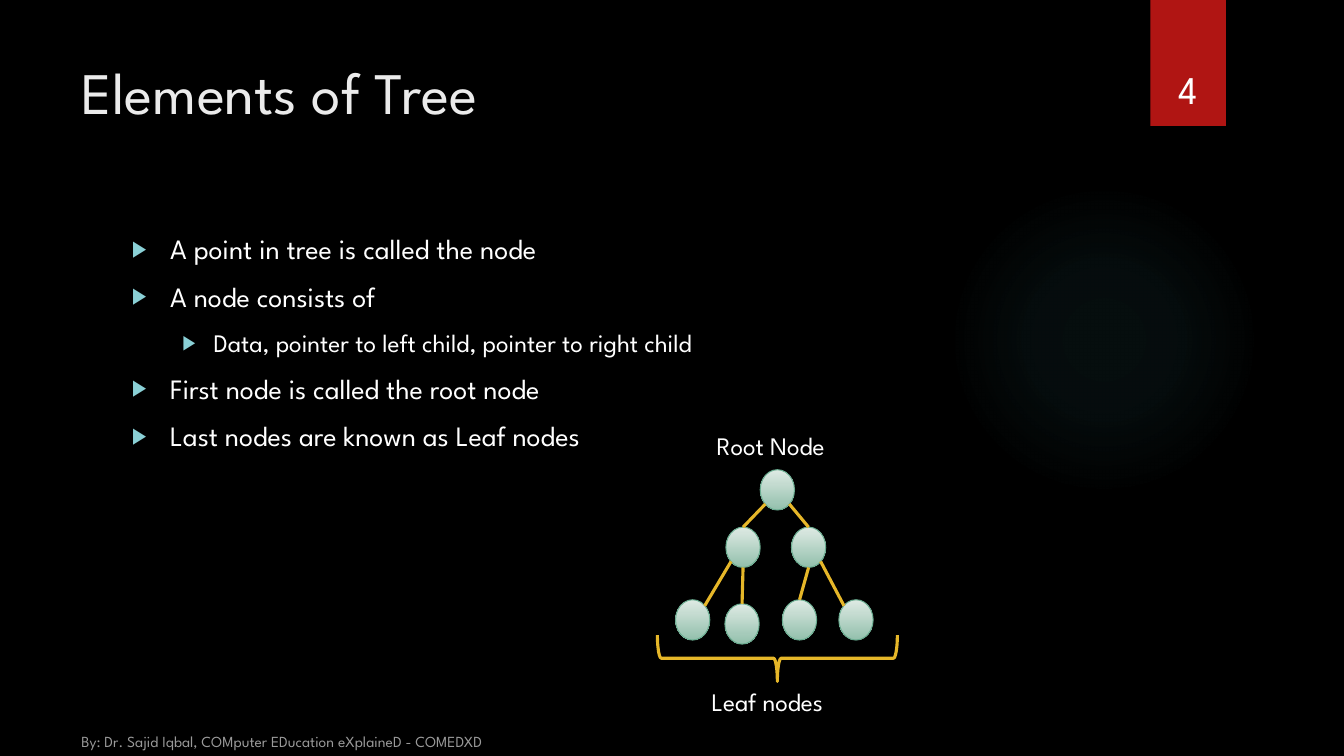
from pptx import Presentation, util as u
from pptx.dml import color
from pptx.enum import shapes, text
from pptx.oxml import parse_xml, ns

FONT = "League Spartan"
WIDTH, HEIGHT = 13.33, 7.5
GOLD = "E6B729"
BULLETS = [
    (0, "A point in tree is called the node"),
    (0, "A node consists of"),
    (1, "Data, pointer to left child, pointer to right child"),
    (0, "First node is called the root node"),
    (0, "Last nodes are known as Leaf nodes"),
]
LEVELS = [
    {"size": 20, "margin": 0.38, "hanging": 0.38},
    {"size": 18, "margin": 0.81, "hanging": 0.31},
]
NODE_WIDTH, NODE_HEIGHT = 0.34, 0.4
NODES = {
    "root": (0.84, 0),
    "left": (0.5, 0.57), "right": (1.15, 0.57),
    "leaf 1": (0, 1.29), "leaf 2": (0.49, 1.33),
    "leaf 3": (1.06, 1.29), "leaf 4": (1.62, 1.29),
}
NEAR, FAR = 0.15, 0.85
SITES = {
    "top": (0.5, 0), "bottom": (0.5, 1),
    "top left": (NEAR, NEAR), "top right": (FAR, NEAR),
    "bottom left": (NEAR, FAR), "bottom right": (FAR, FAR),
}
EDGES = [
    ("root", "bottom left", "left", "top"),
    ("root", "bottom right", "right", "top"),
    ("left", "bottom left", "leaf 1", "top right"),
    ("left", "bottom", "leaf 2", "top"),
    ("right", "bottom", "leaf 3", "top"),
    ("right", "bottom right", "leaf 4", "top left"),
]


def rgb(value):
    return color.RGBColor.from_string(value)


def inches(*lengths):
    return [u.Inches(length) for length in lengths]


def set_attributes(target, values):
    for name, value in values.items():
        setattr(target, name, value)


def format_font(font, size, fill):
    set_attributes(font, {"name": FONT, "size": u.Pt(size), "bold": False})
    font.color.rgb = rgb(fill)


def write(shape, words, size, fill="FFFFFF", align=text.PP_ALIGN.LEFT,
          anchor=text.MSO_ANCHOR.TOP):
    frame = shape.text_frame
    set_attributes(frame, {"word_wrap": True, "vertical_anchor": anchor,
                           "auto_size": text.MSO_AUTO_SIZE.NONE})
    paragraph = frame.paragraphs[0]
    set_attributes(paragraph, {"text": words, "alignment": align})
    format_font(paragraph.runs[0].font, size, fill)


def add_text(slide, box, words, size, **style):
    write(slide.shapes.add_textbox(*inches(*box)), words, size, **style)


def add_shape(slide, kind, box):
    shape = slide.shapes.add_shape(kind, *inches(*box))
    shape.shadow.inherit = False
    return shape


def fill_gradient(shape, stops, direction):
    shape.fill.gradient()
    listed = "".join(
        f'<a:gs pos="{position * 1000}"><a:srgbClr val="{value}">'
        f'<a:alpha val="{alpha * 1000}"/></a:srgbClr></a:gs>'
        for position, value, alpha in stops)
    gradient = parse_xml(f'<a:gradFill {ns.nsdecls("a")} rotWithShape="1">'
                         f'<a:gsLst>{listed}</a:gsLst>{direction}</a:gradFill>')
    properties = shape._element.spPr
    properties.replace(properties.find(ns.qn("a:gradFill")), gradient)


def add_backdrop(slide):
    background = slide.background.fill
    background.solid()
    background.fore_color.rgb = rgb("000000")
    glow = add_shape(slide, shapes.MSO_SHAPE.OVAL, (9.41, 1.83, 3.08, 3.08))
    fill_gradient(glow, [(0, "50B9C1", 7), (36, "50B9C1", 6), (69, "50B9C1", 0)],
                  '<a:path path="circle"><a:fillToRect l="50000" t="50000" '
                  'r="50000" b="50000"/></a:path>')
    glow.line.fill.background()


def add_page_tab(slide, box):
    left, top, width, height = box
    tab = add_shape(slide, shapes.MSO_SHAPE.RECTANGLE, box)
    tab.fill.solid()
    tab.fill.fore_color.rgb = rgb("B01513")
    tab.line.fill.background()
    add_text(slide, (left - 0.09, top + 0.32, width + 0.17, 0.84), "4", 28,
             align=text.PP_ALIGN.CENTER, anchor=text.MSO_ANCHOR.BOTTOM)


def add_title(slide, box):
    title = slide.shapes.title
    set_attributes(title, dict(zip(("left", "top", "width", "height"), inches(*box))))
    write(title, "Elements of Tree", 42, "EBEBEB")


def add_bullets(slide, box):
    frame = slide.shapes.add_textbox(*inches(*box)).text_frame
    frame.word_wrap = True
    for index, (level, words) in enumerate(BULLETS):
        paragraph = frame.add_paragraph() if index else frame.paragraphs[0]
        style = LEVELS[level]
        set_attributes(paragraph, {"text": words, "level": level,
                                   "space_before": u.Pt(10 if index else 0)})
        properties = paragraph._p.get_or_add_pPr()
        properties.set("marL", str(u.Inches(style["margin"])))
        properties.set("indent", str(-u.Inches(style["hanging"])))
        for mark in ('buClr {}><a:srgbClr val="8AD0D6"/></a:buClr>',
                     'buSzPct {} val="80000"/>',
                     'buFont {} typeface="Arial"/>',
                     'buChar {} char="▶"/>'):
            properties.append(parse_xml("<a:" + mark.format(ns.nsdecls("a"))))
        format_font(paragraph.runs[0].font, style["size"], "FFFFFF")


def add_tree(slide, left, top):
    def site(node, name):
        (x, y), (across, down) = NODES[node], SITES[name]
        return left + x + across * NODE_WIDTH, top + y + down * NODE_HEIGHT

    for x, y in NODES.values():
        node = add_shape(slide, shapes.MSO_SHAPE.OVAL,
                         (left + x, top + y, NODE_WIDTH, NODE_HEIGHT))
        fill_gradient(node, [(0, "DEEAE4", 100), (100, "93C0AC", 100)],
                      '<a:lin ang="5400000" scaled="0"/>')
        node.line.color.rgb = rgb("6AAC90")
        node.line.width = u.Pt(0.75)
    for parent, start, child, end in EDGES:
        edge = slide.shapes.add_connector(
            shapes.MSO_CONNECTOR.STRAIGHT,
            *inches(*site(parent, start), *site(child, end)))
        edge.line.color.rgb = rgb(GOLD)
        edge.line.width = u.Pt(2.25)
        edge._element.spPr.append(parse_xml(f'<a:effectLst {ns.nsdecls("a")}/>'))
    brace = add_shape(slide, shapes.MSO_SHAPE.LEFT_BRACE,
                      (left + 0.78, top + 0.68, 0.46, 2.38))
    brace.rotation = 270
    brace.fill.background()
    brace.line.color.rgb = rgb(GOLD)
    brace.line.width = u.Pt(2.25)
    add_text(slide, (left + 0.26, top + 2.1, 2.07, 0.4), "Leaf nodes", 18)
    add_text(slide, (left + 0.31, top - 0.44, 2.07, 0.4), "Root Node", 18)


def main():
    presentation = Presentation()
    set_attributes(presentation, {"slide_width": u.Inches(WIDTH),
                                  "slide_height": u.Inches(HEIGHT)})
    slide = presentation.slides.add_slide(presentation.slide_layouts[5])
    add_backdrop(slide)
    add_page_tab(slide, (11.41, 0, 0.75, 1.25))
    add_title(slide, (0.71, 0.5, 10.29, 1.53))
    add_bullets(slide, (1.21, 2.25, 9.78, 4.59))
    add_text(slide, (0.71, HEIGHT - 0.33, 4.22, 0.33),
             "By: Dr. Sajid Iqbal, COMputer EDucation eXplaineD - COMEDXD", 11,
             fill="999999", anchor=text.MSO_ANCHOR.BOTTOM)
    add_tree(slide, 6.7, 4.66)
    presentation.save("out.pptx")


if __name__ == "__main__":
    main()
